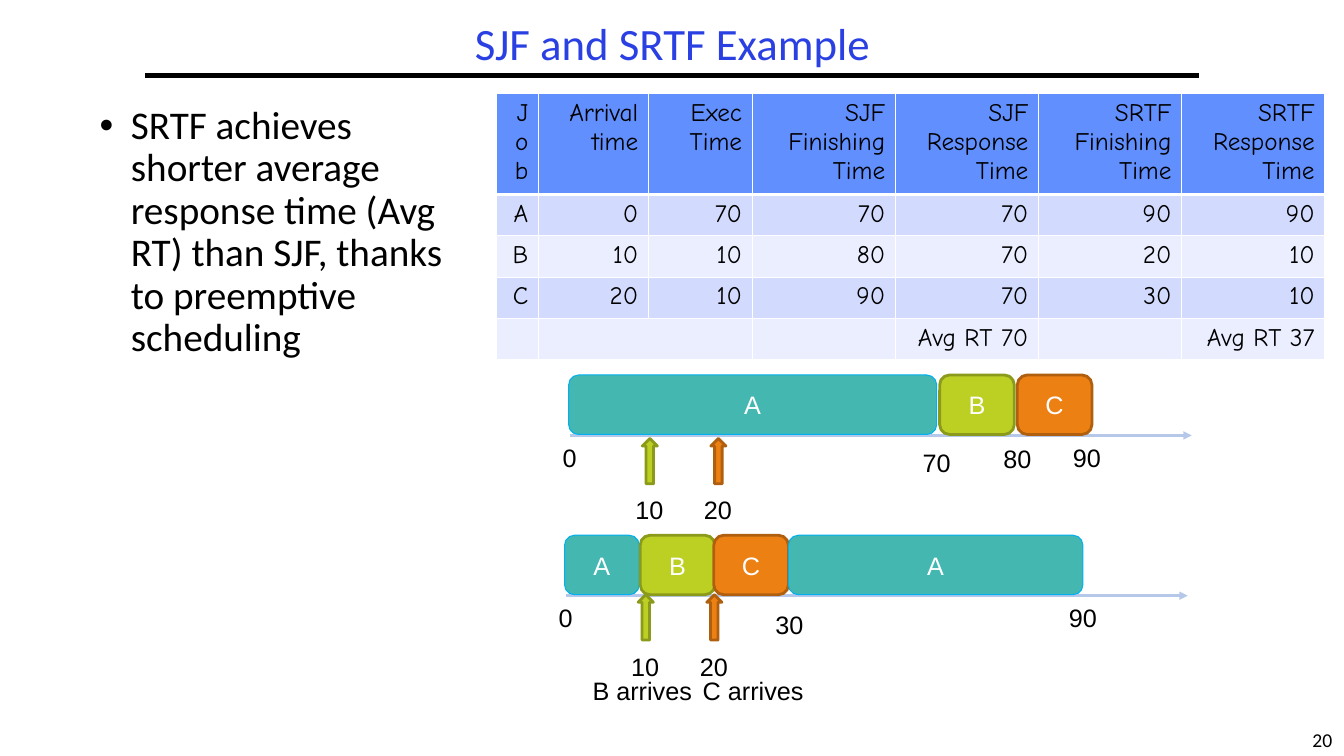
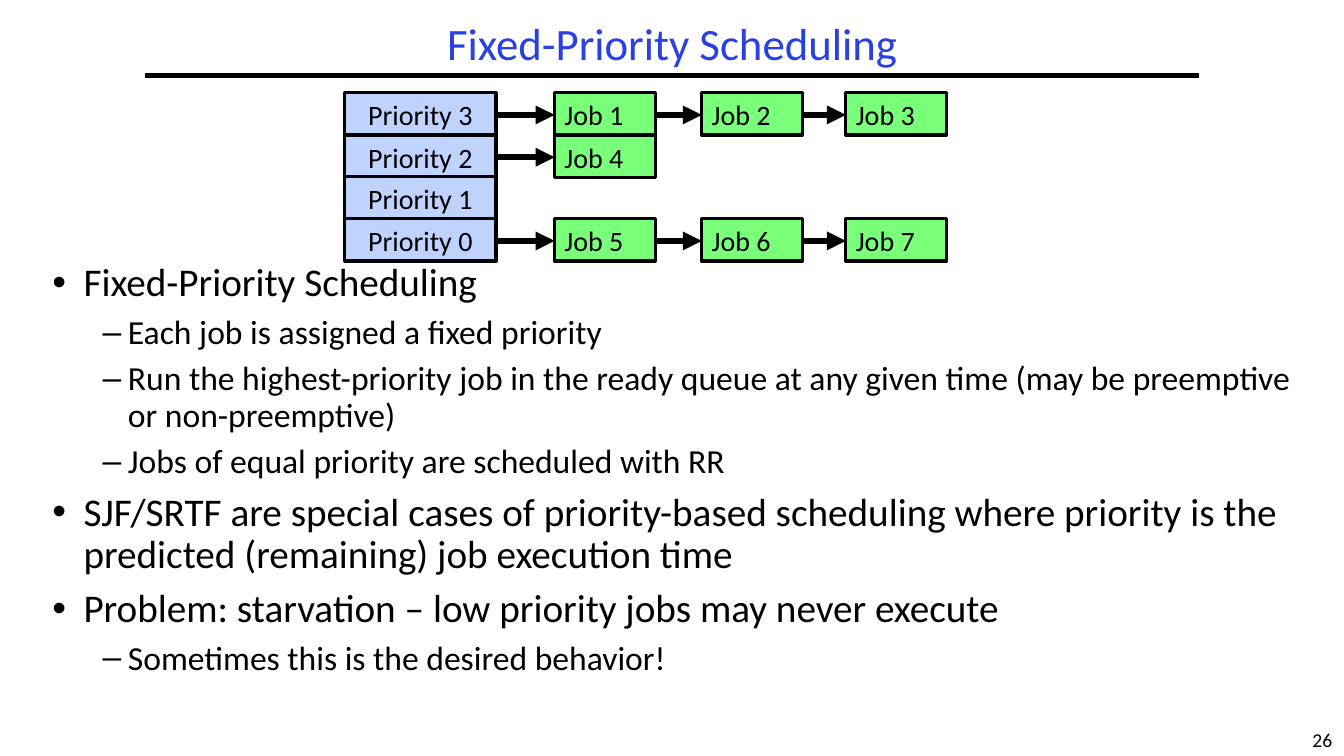
import pptx
import pptx.util
import pptx.dml.color
import pptx.enum.shapes
import pptx.enum.text
import pptx.oxml
import pptx.oxml.ns
import lxml.etree

EMU_PER_PX = 9144
SHAPES = pptx.enum.shapes.MSO_SHAPE
ALIGN = pptx.enum.text.PP_ALIGN
ANCHOR = pptx.enum.text.MSO_ANCHOR

BLACK, WHITE = "000000", "FFFFFF"
TITLE_BLUE = "2A40E2"
AXIS_BLUE = "B6C8E9"
HEADER_BLUE = "618FFD"
ROW_BLUES = ("D2DBFE", "EAEEFF")
QUEUE_BLUE, JOB_GREEN = "C0D2FE", "79FF79"
JOB_STYLES = {
    "A": ("43B7B0", "00B0F0", 0.75),
    "B": ("BCD024", "8B9A1B", 2),
    "C": ("ED8013", "AF5F0E", 2),
}
BULLETS = (
    {"char": "•", "margin": 31, "hang": 31, "size": 28},
    {"char": "–", "margin": 75, "hang": 25, "size": 24},
)


def px(length):
    return pptx.util.Emu(length * EMU_PER_PX)


def box_px(*lengths):
    return [px(length) for length in lengths]


def rgb(value):
    return pptx.dml.color.RGBColor.from_string(value)


def apply_format(target, values):
    for name, value in values.items():
        setattr(target, name, value)


def add_child(parent, tag, **attributes):
    child = lxml.etree.SubElement(parent, pptx.oxml.ns.qn(tag))
    for name, value in attributes.items():
        child.set(name, str(value))
    return child


def write(paragraph, text, size, font="Calibri", color=BLACK, **layout):
    apply_format(paragraph, layout)
    run = paragraph.add_run()
    run.text = text
    apply_format(run.font, {"size": pptx.util.Pt(size), "name": font})
    run.font.color.rgb = rgb(color)


def add_text(slide, box, text, size, wrap=True, anchor=ANCHOR.TOP, **style):
    frame = slide.shapes.add_textbox(*box_px(*box)).text_frame
    apply_format(frame, {"word_wrap": wrap, "vertical_anchor": anchor})
    write(frame.paragraphs[0], text, size, **style)


def add_block(slide, kind, box, fill, outline, weight):
    block = slide.shapes.add_shape(kind, *box_px(*box))
    block.shadow.inherit = False
    block.fill.solid()
    block.fill.fore_color.rgb = rgb(fill)
    block.line.color.rgb = rgb(outline)
    block.line.width = pptx.util.Pt(weight)
    return block


def add_line(slide, start, end, color, weight, arrow=False):
    line = slide.shapes.add_connector(
        pptx.enum.shapes.MSO_CONNECTOR.STRAIGHT, *box_px(*start, *end))
    line.line.color.rgb = rgb(color)
    line.line.width = pptx.util.Pt(weight)
    if arrow:
        add_child(line.line._get_or_add_ln(), "a:tailEnd", type="triangle")
    add_child(line._element.spPr, "a:effectLst")


def start_slide(deck, title, number):
    slide = deck.slides.add_slide(deck.slide_layouts[6])
    add_text(slide, (1290, 717, 43, 33), number, 14, wrap=False, alignment=ALIGN.CENTER)
    add_line(slide, (144, 75), (1189, 75), BLACK, 3)
    add_text(slide, (17, 17, 1300, 58), title, 32, anchor=ANCHOR.MIDDLE,
             color=TITLE_BLUE, alignment=ALIGN.CENTER, line_spacing=0.9)
    return slide


def add_bullets(slide, box, points):
    frame = slide.shapes.add_textbox(*box_px(*box)).text_frame
    frame.word_wrap = True
    for index, (level, text) in enumerate(points):
        paragraph = frame.add_paragraph() if index else frame.paragraphs[0]
        bullet = BULLETS[level]
        write(paragraph, text, bullet["size"], level=level, line_spacing=0.9,
              space_before=pptx.util.Pt(bullet["size"] * 0.3))
        properties = paragraph._p.get_or_add_pPr()
        properties.set("marL", str(px(bullet["margin"])))
        properties.set("indent", str(px(-bullet["hang"])))
        add_child(properties, "a:buFont", typeface="Arial")
        add_child(properties, "a:buChar", char=bullet["char"])


def add_borders(cell, bottom):
    properties = cell._tc.get_or_add_tcPr()
    for side, weight in (("L", 1), ("R", 1), ("T", 1), ("B", bottom)):
        border = add_child(properties, f"a:ln{side}", w=pptx.util.Pt(weight))
        add_child(add_child(border, "a:solidFill"), "a:srgbClr", val=WHITE)


def add_job_table(slide, left, top):
    widths = (42, 109, 103, 142, 142, 142, 142)
    heights = (98, 41, 41, 41, 41)
    rows = (
        ("Job", "Arrival time", "Exec Time", "SJF Finishing Time",
         "SJF Response Time", "SRTF Finishing Time", "SRTF Response Time"),
        ("A", "0", "70", "70", "70", "90", "90"),
        ("B", "10", "10", "80", "70", "20", "10"),
        ("C", "20", "10", "90", "70", "30", "10"),
        ("", "", "", "", "Avg RT 70", "", "Avg RT 37"),
    )
    table = slide.shapes.add_table(
        len(rows), len(widths), *box_px(left, top, sum(widths), sum(heights))).table
    apply_format(table, {"first_row": False, "horz_banding": False})
    for column, width in zip(table.columns, widths):
        column.width = px(width)
    for index, (texts, height) in enumerate(zip(rows, heights)):
        table.rows[index].height = px(height)
        for cell, text in zip(table.rows[index].cells, texts):
            add_borders(cell, 1 if index else 3)
            cell.fill.solid()
            cell.fill.fore_color.rgb = rgb(ROW_BLUES[(index - 1) % 2] if index else HEADER_BLUE)
            if text:
                write(cell.text_frame.paragraphs[0], text, 18,
                      font="Comic Neue", alignment=ALIGN.RIGHT)
    table.cell(4, 1).merge(table.cell(4, 2))


def add_label(slide, center, top, text):
    add_text(slide, (center - 60, top, 120, 40), text, 18, wrap=False,
             font="Arial", alignment=ALIGN.CENTER)


def add_timeline(slide, left, top, bars, ticks, arrival_top):
    add_line(slide, (left + 1, top + 60), (left + 618, top + 60), AXIS_BLUE, 2, arrow=True)
    for job, offset, width in bars:
        bar = add_block(slide, SHAPES.ROUNDED_RECTANGLE,
                        (left + offset, top, width, 59), *JOB_STYLES[job])
        bar.text_frame.vertical_anchor = ANCHOR.MIDDLE
        write(bar.text_frame.paragraphs[0], job, 18, font="Arial",
              color=WHITE, alignment=ALIGN.CENTER)
    for time, center, drop in ticks:
        add_label(slide, left + center, top + drop, time)
    for job, time, center in (("B", "10", 80), ("C", "20", 148)):
        add_block(slide, SHAPES.UP_ARROW,
                  (left + center - 7, top + arrival_top, 15, 45), *JOB_STYLES[job])
        add_label(slide, left + center, top + arrival_top + 51, time)


def add_queue_box(slide, left, top, width, text, fill, alignment):
    box = add_block(slide, SHAPES.RECTANGLE, (left, top, width, 42), fill, BLACK, 2.25)
    box.text_frame.vertical_anchor = ANCHOR.TOP
    write(box.text_frame.paragraphs[0], text, 20, alignment=alignment)


def add_priority_queues(slide, left, top):
    queues = (
        ("Priority 3", ("Job 1", "Job 2", "Job 3")),
        ("Priority 2", ("Job 4",)),
        ("Priority 1", ()),
        ("Priority 0", ("Job 5", "Job 6", "Job 7")),
    )
    for index, (priority, jobs) in enumerate(queues):
        row_top = top + round(index * 125 / 3)
        add_queue_box(slide, left, row_top, 150, priority, QUEUE_BLUE, ALIGN.CENTER)
        previous_end = left + 150
        for job, offset in zip(jobs, (208, 354, 497)):
            job_left = left + offset
            add_queue_box(slide, job_left, row_top, 100, job, JOB_GREEN, ALIGN.LEFT)
            add_line(slide, (previous_end, row_top + 22), (job_left, row_top + 22),
                     BLACK, 4.5, arrow=True)
            previous_end = job_left + 100


def build_example_slide(deck):
    slide = start_slide(deck, "SJF and SRTF Example", "20")
    add_bullets(slide, (89, 100, 386, 558), (
        (0, "SRTF achieves shorter average response time (Avg RT) than SJF, "
            "thanks to preemptive scheduling"),
    ))
    add_job_table(slide, 492, 93)
    add_timeline(slide, 564, 372,
                 (("A", 0, 365), ("B", 368, 74), ("C", 445, 74)),
                 (("0", 1, 62), ("70", 365, 67), ("80", 445, 63), ("90", 514, 62)), 63)
    add_timeline(slide, 560, 531,
                 (("A", 0, 74), ("B", 75, 74), ("C", 148, 74), ("A", 222, 292)),
                 (("0", 1, 62), ("30", 223, 69), ("90", 514, 62)), 59)
    for job, center in (("B", 637), ("C", 747)):
        add_label(slide, center, 665, f"{job} arrives")


def build_priority_slide(deck):
    slide = start_slide(deck, "Fixed-Priority Scheduling", "26")
    add_bullets(slide, (42, 256, 1275, 461), (
        (0, "Fixed-Priority Scheduling"),
        (1, "Each job is assigned a fixed priority"),
        (1, "Run the highest-priority job in the ready queue at any given time "
            "(may be preemptive or non-preemptive)"),
        (1, "Jobs of equal priority are scheduled with RR"),
        (0, "SJF/SRTF are special cases of priority-based scheduling where priority "
            "is the predicted (remaining) job execution time"),
        (0, "Problem: starvation – low priority jobs may never execute"),
        (1, "Sometimes this is the desired behavior!"),
    ))
    add_priority_queues(slide, 342, 92)


def main():
    deck = pptx.Presentation()
    apply_format(deck, {"slide_width": px(1333), "slide_height": px(750)})
    build_example_slide(deck)
    build_priority_slide(deck)
    deck.save("out.pptx")


if __name__ == "__main__":
    main()
